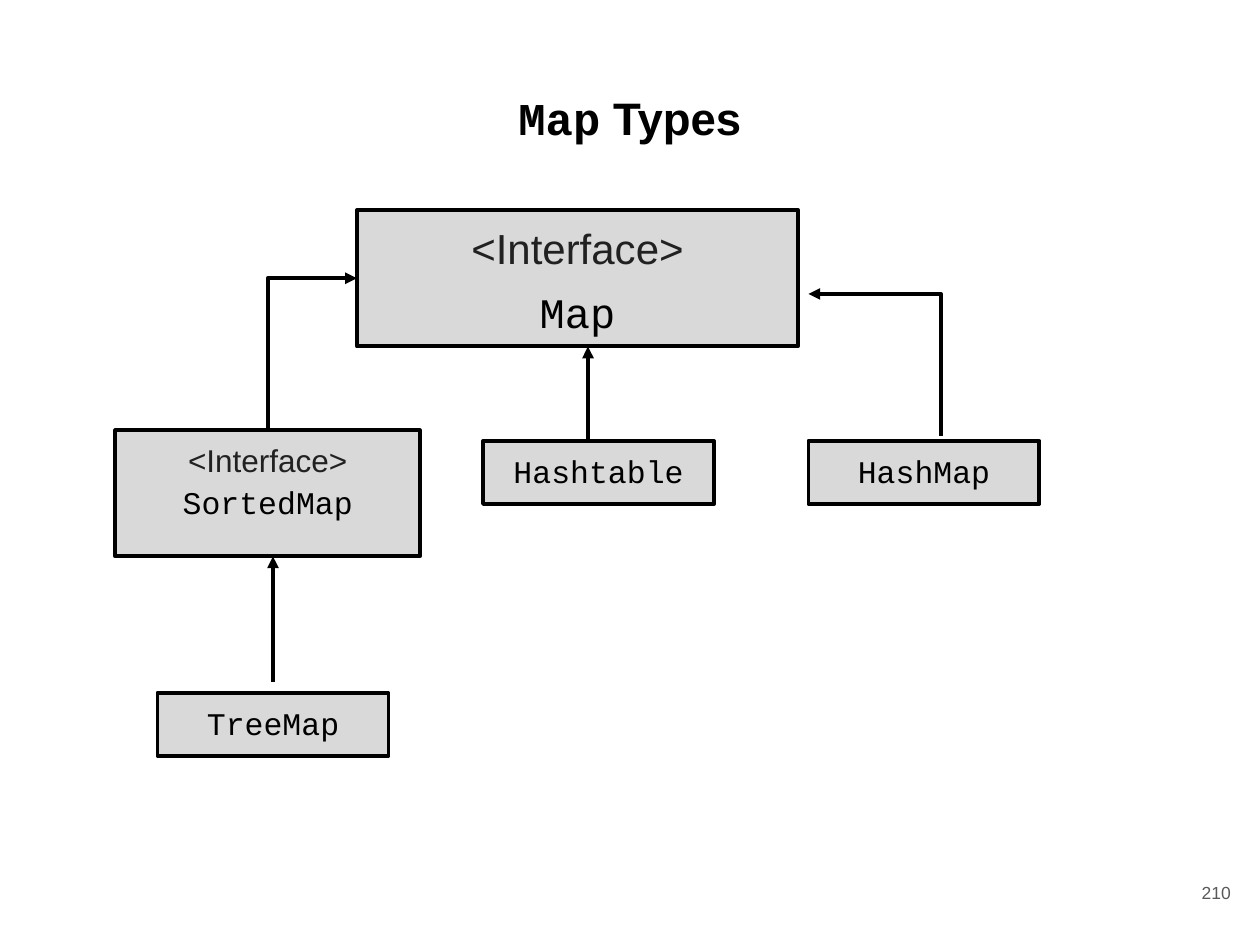
"""Build the Map Types class hierarchy slide."""
from lxml.etree import SubElement
from pptx import Presentation
from pptx.dml.color import RGBColor
from pptx.enum.shapes import MSO_CONNECTOR, MSO_SHAPE
from pptx.enum.text import MSO_ANCHOR, PP_ALIGN
from pptx.oxml.ns import qn
from pptx.util import Inches, Pt

BLACK = RGBColor(0x00, 0x00, 0x00)
DARK = RGBColor(0x21, 0x21, 0x21)
GRAY = RGBColor(0x59, 0x59, 0x59)
FILL = RGBColor(0xD9, 0xD9, 0xD9)
SANS, MONO = "Arial", "Courier New"
LINE_SPACING = 1.12

prs = Presentation()
prs.slide_width, prs.slide_height = Inches(10), Inches(7.5)
s = prs.slides.add_slide(prs.slide_layouts[6])
UNIT = prs.slide_width / 120


def grid(*cells):
    return [round(c * UNIT) for c in cells]


def style(font, name, size, color, bold=False):
    font.name, font.size, font.bold = name, Pt(size), bold
    font.color.rgb = color


tf = s.shapes.add_textbox(*grid(4.1, 7.8, 111.8, 10)).text_frame
tf.word_wrap = True
tf.margin_left = tf.margin_right = tf.margin_top = tf.margin_bottom = Inches(0.01)
p = tf.paragraphs[0]
p.alignment, p.line_spacing = PP_ALIGN.CENTER, LINE_SPACING
for text, name in [("Map", MONO), (" Types", SANS)]:
    r = p.add_run()
    r.text = text
    style(r.font, name, 26, BLACK, True)

INTERFACE = ("<Interface>", SANS, DARK)
boxes = [
    ((11, 41, 29, 12), 18, [[INTERFACE, ("SortedMap", MONO, BLACK)]]),
    ((77, 42, 22, 6), 18, [[("HashMap", MONO, BLACK)]]),
    ((15, 66, 22, 6), 18, [[("TreeMap", MONO, BLACK)]]),
    ((34, 20, 42, 13), 24, [[INTERFACE], [("Map", MONO, BLACK)]]),
    ((46, 42, 22, 6), 18, [[("Hashtable", MONO, BLACK)]]),
]
for cells, size, paragraphs in boxes:
    sp = s.shapes.add_shape(MSO_SHAPE.RECTANGLE, *grid(*cells))
    sp.shadow.inherit = False
    sp.fill.solid()
    sp.fill.fore_color.rgb = FILL
    sp.line.color.rgb, sp.line.width = BLACK, Pt(2.25)
    tf = sp.text_frame
    tf.word_wrap, tf.vertical_anchor = True, MSO_ANCHOR.TOP
    for i, lines in enumerate(paragraphs):
        p = tf.add_paragraph() if i else tf.paragraphs[0]
        p.alignment, p.line_spacing = PP_ALIGN.CENTER, LINE_SPACING
        if i:
            p.space_before = Pt(4.8)
        for j, (text, name, color) in enumerate(lines):
            if j:
                p.add_line_break()
            r = p.add_run()
            r.text = text
            style(r.font, name, size, color)

arrows = [
    (34, 26.5, 25.5, 41),
    (77, 28, 89.6, 41.5),
    (26, 53, 26, 65),
    (56, 33, 56, 42),
]
for x1, y1, x2, y2 in arrows:
    kind = MSO_CONNECTOR.STRAIGHT if x1 == x2 else MSO_CONNECTOR.ELBOW
    cxn = s.shapes.add_connector(kind, *grid(x1, y1, x2, y2))
    cxn.line.color.rgb, cxn.line.width = BLACK, Pt(2.25)
    props = cxn._element.spPr
    if kind == MSO_CONNECTOR.ELBOW:
        props.find(qn("a:prstGeom")).set("prst", "bentConnector2")
    SubElement(props.find(qn("a:ln")), qn("a:headEnd"), type="triangle")
    SubElement(props, qn("a:effectLst"))

tf = s.shapes.add_textbox(*grid(111.2, 81.6, 7.2, 6.8)).text_frame
tf.word_wrap, tf.vertical_anchor = True, MSO_ANCHOR.MIDDLE
p = tf.paragraphs[0]
p.text, p.alignment = "210", PP_ALIGN.RIGHT
style(p.font, SANS, 10, GRAY)

prs.save("out.pptx")
